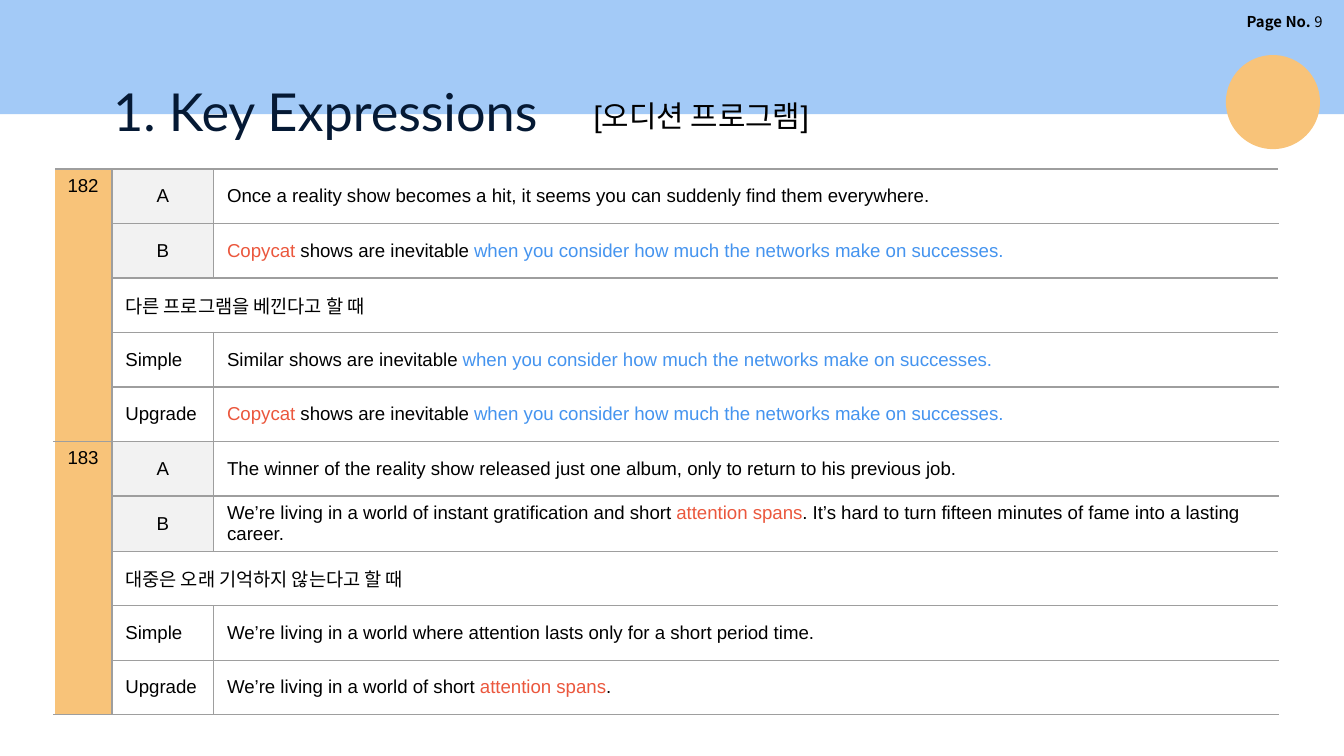
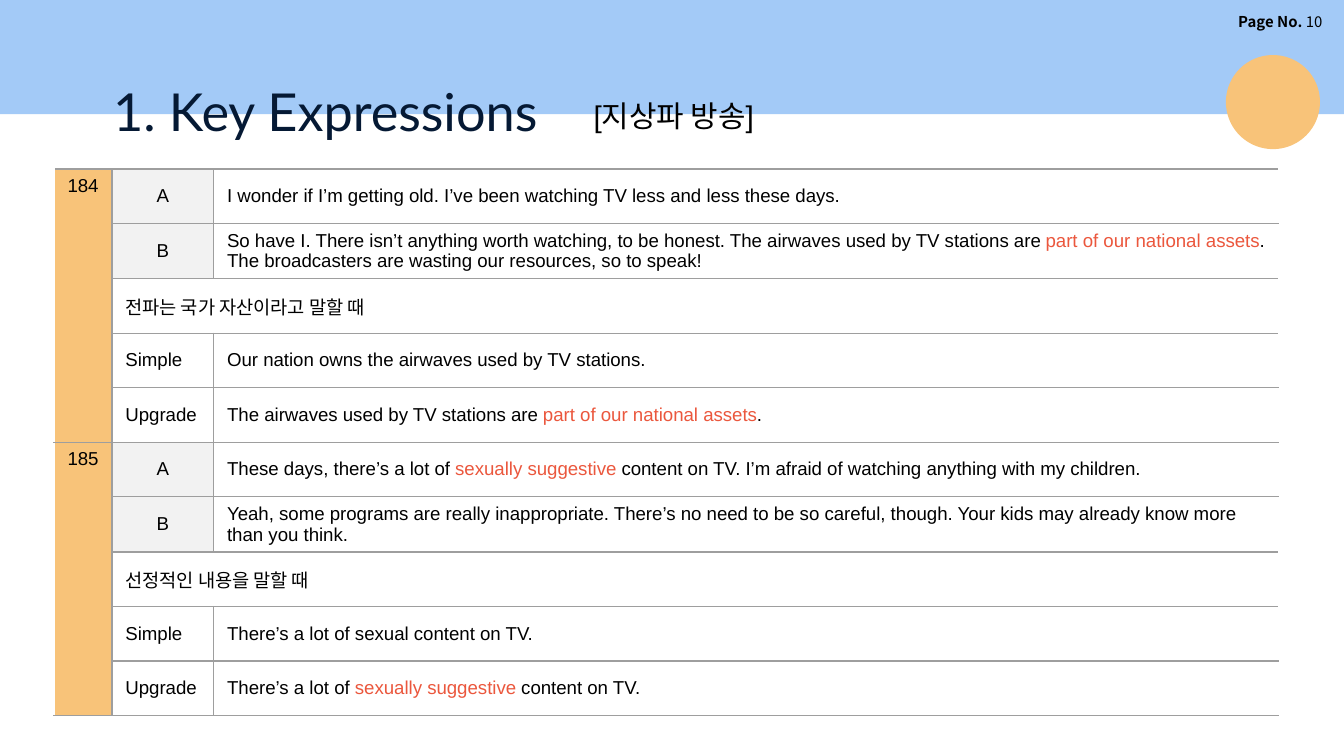
import pptx
import pptx.dml.color
import pptx.enum.shapes
import pptx.enum.text
import pptx.oxml
import pptx.oxml.ns
import pptx.util

Pt = pptx.util.Pt
ALIGN = pptx.enum.text.PP_ALIGN
ANCHOR = pptx.enum.text.MSO_ANCHOR
SHAPE = pptx.enum.shapes.MSO_SHAPE

COLORS = {
    "band": "A3CAF7",
    "accent": "F8C379",
    "title": "051934",
    "text": "000000",
    "red": "EB573D",
    "blue": "4594EF",
    "speaker": "F2F2F2",
    "rule": "9E9E9E",
    "white": "FFFFFF",
}
COLUMN_WIDTHS = (31, 54.5, 570.5)
ROW_HEIGHT = 29.2
ROW_LABELS = ("A", "B", None, "Simple", "Upgrade")

NETWORKS = ("when you consider how much the networks make on successes.", "blue")
COPYCAT = [("Copycat", "red"), " shows are inevitable ", NETWORKS]
SPANS = ("attention spans", "red")
ASSETS = ("part of our national assets", "red")
SUGGESTIVE = ("sexually suggestive ", "red")

LESSONS = [
    (9, "[오디션 프로그램]", [
        ("182", [
            ["Once a reality show becomes a hit, it seems you can suddenly find them everywhere."],
            COPYCAT,
            ["다른 프로그램을 베낀다고 할 때"],
            ["Similar shows are inevitable ", NETWORKS],
            COPYCAT,
        ]),
        ("183", [
            ["The winner of the reality show released just one album, only to return to his previous job."],
            ["We’re living in a world of instant gratification and short ", SPANS,
             ". It’s hard to turn fifteen minutes of fame into a lasting career."],
            ["대중은 오래 기억하지 않는다고 할 때"],
            ["We’re living in a world where attention lasts only for a short period time."],
            ["We’re living in a world of short ", SPANS, "."],
        ]),
    ]),
    (10, "[지상파 방송]", [
        ("184", [
            ["I wonder if I’m getting old. I’ve been watching TV less and less these days."],
            ["So have I. There isn’t anything worth watching, to be honest. "
             "The airwaves used by TV stations are ", ASSETS,
             ". The broadcasters are wasting our resources, so to speak!"],
            ["전파는 국가 자산이라고 말할 때"],
            ["Our nation owns the airwaves used by TV stations."],
            ["The airwaves used by TV stations are ", ASSETS, "."],
        ]),
        ("185", [
            ["These days, there’s a lot of ", SUGGESTIVE,
             "content on TV. I’m afraid of watching anything with my children."],
            ["Yeah, some programs are really inappropriate. There’s no need to be so careful, though. "
             "Your kids may already know more than you think."],
            ["선정적인 내용을 말할 때"],
            ["There’s a lot of sexual content on TV."],
            ["There’s a lot of ", SUGGESTIVE, "content on TV."],
        ]),
    ]),
]


def rgb(name):
    return pptx.dml.color.RGBColor.from_string(COLORS[name])


def add_spans(para, parts, size, font="Arial", color="text"):
    for part in parts:
        text, span_color = (part, color) if isinstance(part, str) else part
        span = para.add_run()
        span.text = text
        span.font.size = Pt(size)
        span.font.name = font
        span.font.color.rgb = rgb(span_color)


def add_text(page, place, parts, size, font="Arial", color="text", inset=(7.2, 3.6)):
    box = page.shapes.add_textbox(*map(Pt, place))
    frame = box.text_frame
    frame.word_wrap = True
    frame.margin_left = frame.margin_right = Pt(inset[0])
    frame.margin_top = frame.margin_bottom = Pt(inset[1])
    add_spans(frame.paragraphs[0], parts, size, font, color)
    return frame.paragraphs[0]


def add_solid(page, kind, place, color):
    solid = page.shapes.add_shape(kind, *map(Pt, place))
    solid.shadow.inherit = False
    solid.fill.solid()
    solid.fill.fore_color.rgb = rgb(color)
    solid.line.fill.background()


def add_header(page, number, topic):
    add_solid(page, SHAPE.RECTANGLE, (0, 0, 720, 61.2), "band")
    para = add_text(page, (610.5, 3, 104.5, 16.5), ["Page No. ", str(number)], 8,
                    "Noto Sans CJK KR", inset=(6.5, 3.6))
    para.alignment = ALIGN.RIGHT
    para.runs[0].font.bold = True
    add_text(page, (53.5, 35.5, 257.5, 45.5), ["1. Key Expressions"], 28, "Lato", "title", (7.2, 7.2))
    add_text(page, (311, 49, 176, 26.5), [topic], 16)


def set_borders(cell, left, right):
    properties = cell._tc.get_or_add_tcPr()
    edges = {"lnL": left, "lnR": right, "lnT": "rule", "lnB": "rule"}
    for tag, color in edges.items():
        width = Pt(1 if color == "white" else 0.75)
        properties.append(pptx.oxml.parse_xml(
            f'<a:{tag} {pptx.oxml.ns.nsdecls("a")} w="{width}"><a:solidFill>'
            f'<a:srgbClr val="{COLORS[color]}"/></a:solidFill></a:{tag}>'))


def style_cell(cell, column, fill):
    set_borders(cell, "white" if column == 0 else "rule", "white" if column == 2 else "rule")
    if fill:
        cell.fill.solid()
        cell.fill.fore_color.rgb = rgb(fill)
    else:
        cell.fill.background()
    cell.margin_left = Pt(7.2)
    cell.margin_right = Pt(0 if column == 0 else 7.2)
    cell.margin_top = cell.margin_bottom = Pt(3.6 if column == 0 else 2.8)
    cell.vertical_anchor = ANCHOR.TOP if column == 0 else ANCHOR.MIDDLE


def fill_cell(cell, parts):
    add_spans(cell.text_frame.paragraphs[0], parts, 10)


def add_entry(table, first, number, sentences):
    for offset, (label, sentence) in enumerate(zip(ROW_LABELS, sentences)):
        cells = [table.cell(first + offset, column) for column in range(3)]
        is_speaker = label in ("A", "B")
        for column, fill in enumerate(("accent", "speaker" if is_speaker else None, None)):
            style_cell(cells[column], column, fill)
        if label is None:
            cells[1].merge(cells[2])
            set_right_edge = cells[1]._tc.tcPr.find(pptx.oxml.ns.qn("a:lnR"))
            set_right_edge[0][0].set("val", COLORS["white"])
            fill_cell(cells[1], sentence)
            continue
        fill_cell(cells[1], [label])
        fill_cell(cells[2], sentence)
        if is_speaker:
            cells[1].text_frame.paragraphs[0].alignment = ALIGN.CENTER
    table.cell(first, 0).merge(table.cell(first + len(ROW_LABELS) - 1, 0))
    fill_cell(table.cell(first, 0), [number])


def add_expressions(page, entries):
    count = len(entries) * len(ROW_LABELS)
    place = (29, 90.5, sum(COLUMN_WIDTHS), count * ROW_HEIGHT)
    table = page.shapes.add_table(count, len(COLUMN_WIDTHS), *map(Pt, place)).table
    table.first_row = table.horz_banding = False
    for column, width in zip(table.columns, COLUMN_WIDTHS):
        column.width = Pt(width)
    for row in table.rows:
        row.height = Pt(ROW_HEIGHT)
    for index, (number, sentences) in enumerate(entries):
        add_entry(table, index * len(ROW_LABELS), number, sentences)


def main():
    deck = pptx.Presentation()
    deck.slide_width = Pt(720)
    deck.slide_height = Pt(405)
    for number, topic, entries in LESSONS:
        page = deck.slides.add_slide(deck.slide_layouts[6])
        add_header(page, number, topic)
        add_expressions(page, entries)
        add_solid(page, SHAPE.OVAL, (656.75, 29.5, 50.4, 50.4), "accent")
    deck.save("out.pptx")


if __name__ == "__main__":
    main()
